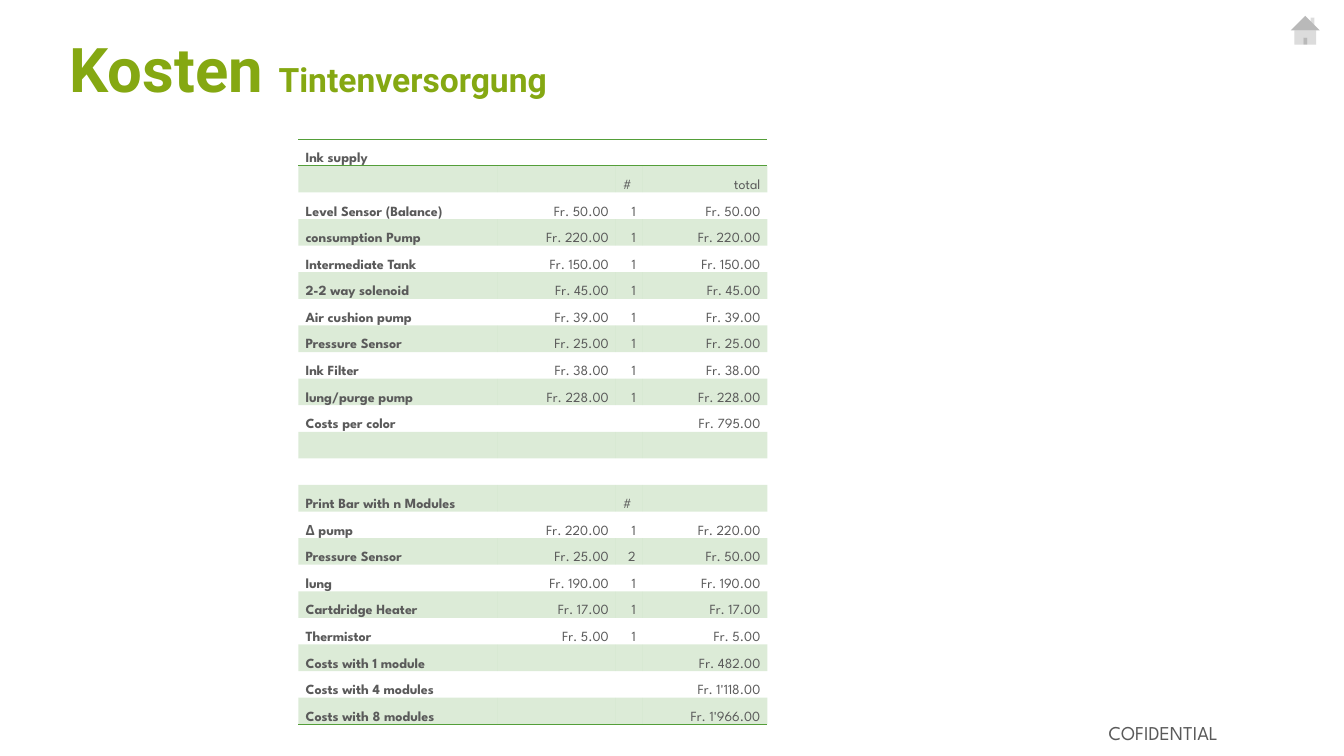
import dataclasses

import lxml.etree
import pptx
import pptx.dml.color
import pptx.enum.shapes
import pptx.enum.text
import pptx.oxml.ns
import pptx.util

Cm = pptx.util.Cm
Pt = pptx.util.Pt
RGB = pptx.dml.color.RGBColor
Align = pptx.enum.text.PP_ALIGN
qn = pptx.oxml.ns.qn


@dataclasses.dataclass(frozen=True)
class Theme:
    title_font: str = "Roboto"
    body_font: str = "League Spartan"
    title_color: str = "85A812"
    text_color: str = "5A5A5A"
    table_color: str = "549E39"
    icon_color: str = "FFFFFF"
    band_opacity: int = 20
    icon_opacity: int = 68
    title_size: int = 44
    subtitle_size: int = 24
    footer_size: int = 14
    table_size: int = 10
    rule_width: int = 1
    table_style: str = "{2D5ABB26-0587-4C30-8999-92F81FD0307C}"


@dataclasses.dataclass(frozen=True)
class CostRow:
    label: str = ""
    price: str = ""
    count: str = ""
    total: str = ""
    rules: tuple[str, ...] = ()


THEME = Theme()
COLUMN_WIDTHS = (5.03, 2.97, 0.68, 3.14)
ROW_HEIGHT = 0.67
ROWS = (
    CostRow("Ink supply", rules=("lnT", "lnB")),
    CostRow(count="#", total="total"),
    CostRow("Level Sensor (Balance)", "Fr. 50.00", "1", "Fr. 50.00"),
    CostRow("consumption Pump", "Fr. 220.00", "1", "Fr. 220.00"),
    CostRow("Intermediate Tank", "Fr. 150.00", "1", "Fr. 150.00"),
    CostRow("2-2 way solenoid", "Fr. 45.00", "1", "Fr. 45.00"),
    CostRow("Air cushion pump", "Fr. 39.00", "1", "Fr. 39.00"),
    CostRow("Pressure Sensor", "Fr. 25.00", "1", "Fr. 25.00"),
    CostRow("Ink Filter", "Fr. 38.00", "1", "Fr. 38.00"),
    CostRow("lung/purge pump", "Fr. 228.00", "1", "Fr. 228.00"),
    CostRow("Costs per color", total="Fr. 795.00"),
    CostRow(),
    CostRow(),
    CostRow("Print Bar with n Modules", count="#"),
    CostRow("Δ pump", "Fr. 220.00", "1", "Fr. 220.00"),
    CostRow("Pressure Sensor", "Fr. 25.00", "2", "Fr. 50.00"),
    CostRow("lung", "Fr. 190.00", "1", "Fr. 190.00"),
    CostRow("Cartdridge Heater", "Fr. 17.00", "1", "Fr. 17.00"),
    CostRow("Thermistor", "Fr. 5.00", "1", "Fr. 5.00"),
    CostRow("Costs with 1 module", total="Fr. 482.00"),
    CostRow("Costs with 4 modules", total="Fr. 1'118.00"),
    CostRow("Costs with 8 modules", total="Fr. 1'966.00", rules=("lnB",)),
)


def set_font(p, name: str, size: int, color: str, bold: bool = False) -> None:
    p.font.name = name
    p.font.size = Pt(size)
    p.font.bold = bold
    p.font.color.rgb = RGB.from_string(color)


def fill_translucent(fill, parent, color: str, opacity: int) -> None:
    fill.solid()
    fill.fore_color.rgb = RGB.from_string(color)
    clr = parent.find(qn("a:solidFill")).find(qn("a:srgbClr"))
    lxml.etree.SubElement(clr, qn("a:alpha"), val=str(opacity * 1000))


def add_rule(tc_pr, side: str) -> None:
    ln = lxml.etree.SubElement(tc_pr, qn(f"a:{side}"), w=str(Pt(THEME.rule_width)))
    fill = lxml.etree.SubElement(ln, qn("a:solidFill"))
    lxml.etree.SubElement(fill, qn("a:srgbClr"), val=THEME.table_color)


def format_cell(cell, text: str, column: int, banded: bool, rules: tuple[str, ...]) -> None:
    cell.vertical_anchor = pptx.enum.text.MSO_ANCHOR.BOTTOM
    cell.margin_left = cell.margin_right = Cm(0.18)
    cell.margin_top = cell.margin_bottom = 0
    tc_pr = cell._tc.get_or_add_tcPr()
    for side in rules:
        add_rule(tc_pr, side)
    if banded:
        fill_translucent(cell.fill, tc_pr, THEME.table_color, THEME.band_opacity)
    else:
        cell.fill.background()
    p = cell.text_frame.paragraphs[0]
    p.line_spacing = 1.15
    p.alignment = Align.LEFT if column == 0 or text == "#" else Align.RIGHT
    set_font(p, THEME.body_font, THEME.table_size, THEME.text_color, bold=column == 0)
    if text:
        p.add_run().text = text
    else:
        lxml.etree.SubElement(p._p, qn("a:endParaRPr"), sz=str(THEME.table_size * 100))


def add_cost_table(s) -> None:
    frame = s.shapes.add_table(
        len(ROWS), len(COLUMN_WIDTHS), Cm(7.52), Cm(3.51),
        Cm(sum(COLUMN_WIDTHS)), Cm(ROW_HEIGHT * len(ROWS)),
    )
    table = frame.table
    table.first_row = table.horz_banding = False
    table._tbl.tblPr.find(qn("a:tableStyleId")).text = THEME.table_style
    for column, width in zip(table.columns, COLUMN_WIDTHS):
        column.width = Cm(width)
    for i, row in enumerate(ROWS):
        table.rows[i].height = Cm(ROW_HEIGHT)
        for j, text in enumerate((row.label, row.price, row.count, row.total)):
            format_cell(table.cell(i, j), text, j, i % 2 == 1, row.rules)


def add_title(s) -> None:
    title = s.shapes.title
    title.left, title.top, title.width, title.height = Cm(1.5), Cm(0.69), Cm(30.99), Cm(2.03)
    tf = title.text_frame
    tf.auto_size = pptx.enum.text.MSO_AUTO_SIZE.NONE
    tf.vertical_anchor = pptx.enum.text.MSO_ANCHOR.MIDDLE
    p = tf.paragraphs[0]
    p.alignment = Align.LEFT
    set_font(p, THEME.title_font, THEME.title_size, THEME.title_color, bold=True)
    p.add_run().text = "Kosten "
    r = p.add_run()
    r.text = "Tintenversorgung"
    r.font.size = Pt(THEME.subtitle_size)


def add_footer(s) -> None:
    tf = s.shapes.add_textbox(Cm(27.69), Cm(18.03), Cm(5.08), Cm(0.86)).text_frame
    tf.word_wrap = True
    p = tf.paragraphs[0]
    p.text = "COFIDENTIAL"
    set_font(p, THEME.body_font, THEME.footer_size, THEME.text_color)


def add_home_button(s) -> None:
    sp = s.shapes.add_shape(
        pptx.enum.shapes.MSO_SHAPE.ACTION_BUTTON_HOME,
        Cm(32.36), Cm(0.28), Cm(1.07), Cm(0.97),
    )
    sp.shadow.inherit = False
    sp.line.fill.background()
    fill_translucent(sp.fill, sp._element.spPr, THEME.icon_color, THEME.icon_opacity)


def main() -> None:
    prs = pptx.Presentation()
    prs.slide_width, prs.slide_height = Cm(33.87), Cm(19.05)
    s = prs.slides.add_slide(prs.slide_layouts[5])
    add_footer(s)
    add_home_button(s)
    add_title(s)
    add_cost_table(s)
    prs.save("out.pptx")


if __name__ == "__main__":
    main()
